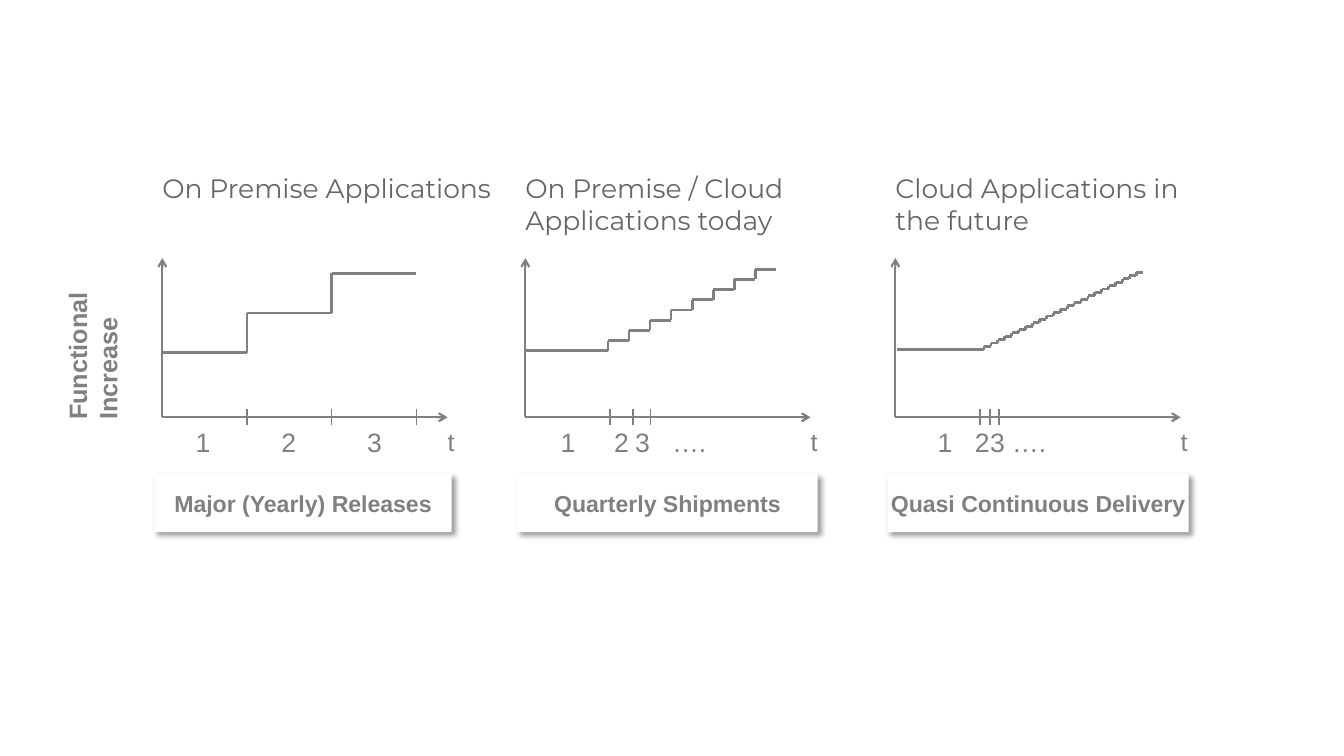
from dataclasses import dataclass
from itertools import pairwise

from lxml import etree
from pptx import Presentation
from pptx.dml.color import RGBColor
from pptx.enum.shapes import MSO_CONNECTOR, MSO_SHAPE
from pptx.enum.text import MSO_ANCHOR, MSO_AUTO_SIZE, PP_ALIGN
from pptx.oxml import parse_xml
from pptx.oxml.ns import qn
from pptx.util import Inches, Pt

STRAIGHT = MSO_CONNECTOR.STRAIGHT
RECTANGLE = MSO_SHAPE.RECTANGLE
LEFT, CENTER = PP_ALIGN.LEFT, PP_ALIGN.CENTER
TOP, MIDDLE = MSO_ANCHOR.TOP, MSO_ANCHOR.MIDDLE
FIT_SHAPE = MSO_AUTO_SIZE.SHAPE_TO_FIT_TEXT

SHADOW_XML = (
    '<a:effectLst xmlns:a="http://schemas.openxmlformats.org/drawingml/2006/main">'
    '<a:outerShdw blurRad="50800" dist="38100" dir="2700000" algn="tl" rotWithShape="0">'
    '<a:srgbClr val="000000"><a:alpha val="40000"/></a:srgbClr>'
    '</a:outerShdw></a:effectLst>'
)


@dataclass(frozen=True)
class Theme:
    gray: RGBColor = RGBColor(0x80, 0x80, 0x80)
    title_gray: RGBColor = RGBColor(0x66, 0x66, 0x66)
    white: RGBColor = RGBColor(0xFF, 0xFF, 0xFF)
    body_font: str = "Arial"
    title_font: str = "Montserrat"
    large: float = 19
    label: float = 18
    caption: float = 16.5
    step_line: float = 2
    axis_line: float = 1.5
    tick_line: float = 1


THEME = Theme()


@dataclass(frozen=True)
class Panel:
    title: str
    title_width: float
    caption: str
    caption_width: float
    left: float          # x of the vertical axis
    ticks: tuple         # x positions on the time axis
    numbers: tuple       # (text, x, width)
    stair_start: tuple   # left end of the first level
    first_rise: float    # x where the first level ends
    stair_end: tuple     # right end of the last level
    rises: int


PANELS = (
    Panel("On Premise Applications", 3.28, "Major (Yearly) Releases", 2.95, 1.61,
          (2.45, 3.29, 4.13),
          (("1", 1.94, 0.19), ("2", 2.79, 0.19), ("3", 3.64, 0.19)),
          (1.61, 3.5), 2.45, (4.13, 2.71), 2),
    Panel("On Premise / Cloud Applications today", 3.35, "Quarterly Shipments", 2.98, 5.21,
          (6.05, 6.28, 6.45),
          (("1", 5.56, 0.19), ("2", 6.09, 0.19), ("3", 6.3, 0.19), ("….", 6.67, 1.14)),
          (5.21, 3.48), 6.03, (7.7, 2.67), 8),
    Panel("Cloud Applications in the future", 2.91, "Quasi Continuous Delivery", 2.99, 8.88,
          (9.72, 9.82, 9.91),
          (("1", 9.3, 0.19), ("2", 9.67, 0.19), ("3 ….", 9.82, 1.21)),
          (8.9, 3.47), 9.76, (11.34, 2.7), 23),
)

AXIS_Y, AXIS_TOP, AXIS_LENGTH = 4.14, 2.56, 2.83


def write_text(shape, text, size=THEME.large, font=THEME.body_font, color=THEME.gray,
               bold=False, align=LEFT, anchor=TOP, wrap=True):
    frame = shape.text_frame
    frame.word_wrap = wrap
    frame.vertical_anchor = anchor
    frame.margin_left = frame.margin_right = frame.margin_top = frame.margin_bottom = 0
    paragraph = frame.paragraphs[0]
    paragraph.alignment = align
    run = paragraph.add_run()
    run.text = text
    run.font.name = font
    run.font.size = Pt(size)
    run.font.bold = bold
    run.font.color.rgb = color


def add_label(shapes, text, left, top, width, height, **text_format):
    box = shapes.add_textbox(Inches(left), Inches(top), Inches(width), Inches(height))
    write_text(box, text, **text_format)
    box.text_frame.auto_size = FIT_SHAPE
    return box


def add_line(shapes, start, end, weight, arrow=False):
    connector = shapes.add_connector(STRAIGHT, *map(Inches, (*start, *end)))
    connector.line.color.rgb = THEME.gray
    connector.line.width = Pt(weight)
    if arrow:
        etree.SubElement(connector.line._get_or_add_ln(), qn("a:tailEnd"), type="arrow")
    etree.SubElement(connector._element.spPr, qn("a:effectLst"))


def add_caption(shapes, panel):
    box = shapes.add_shape(RECTANGLE, Inches(panel.left - 0.08), Inches(4.7),
                           Inches(panel.caption_width), Inches(0.58))
    box.fill.solid()
    box.fill.fore_color.rgb = THEME.white
    box.line.fill.background()
    box._element.spPr.append(parse_xml(SHADOW_XML))
    write_text(box, panel.caption, size=THEME.caption, bold=True, align=CENTER, anchor=MIDDLE)


def stair_points(panel):
    """Corners of a stair with equal treads and rises after the first level."""
    end_x, end_y = panel.stair_end
    x, y = panel.first_rise, panel.stair_start[1]
    tread = (end_x - x) / panel.rises
    rise = (y - end_y) / panel.rises
    points = [panel.stair_start, (x, y)]
    for step in range(panel.rises):
        level = y - (step + 1) * rise
        points += [(x + step * tread, level), (x + (step + 1) * tread, level)]
    return points


def add_graph(shapes, panel):
    graph = shapes.add_group_shape().shapes
    # Axes
    origin = (panel.left, AXIS_Y)
    axis_right = panel.left + AXIS_LENGTH
    add_line(graph, origin, (panel.left, AXIS_TOP), THEME.axis_line, arrow=True)
    add_line(graph, origin, (axis_right, AXIS_Y), THEME.axis_line, arrow=True)
    # Ticks and their numbers
    for x in panel.ticks:
        add_line(graph, (x, AXIS_Y - 0.08), (x, AXIS_Y + 0.08), THEME.tick_line)
    for text, x, width in panel.numbers:
        add_label(graph, text, x, 4.23, width, 0.32)
    add_label(graph, "t", axis_right, 4.23, 0.07, 0.3, size=THEME.label, wrap=False)
    # Release steps
    for start, end in pairwise(stair_points(panel)):
        add_line(graph, start, end, THEME.step_line)


def main():
    presentation = Presentation()
    presentation.slide_width = Inches(13.33)
    presentation.slide_height = Inches(7.5)
    slide = presentation.slides.add_slide(presentation.slide_layouts[6])
    shapes = slide.shapes

    # Shared vertical axis label
    axis_label = add_label(shapes, "Functional Increase", 0.21, 3.05, 1.52, 0.71,
                           size=THEME.label, bold=True)
    axis_label.rotation = 270

    # One panel per delivery model
    for panel in PANELS:
        add_caption(shapes, panel)
        add_label(shapes, panel.title, panel.left, 1.71, panel.title_width, 0.64,
                  font=THEME.title_font, color=THEME.title_gray)
        add_graph(shapes, panel)

    presentation.save("out.pptx")


if __name__ == "__main__":
    main()
